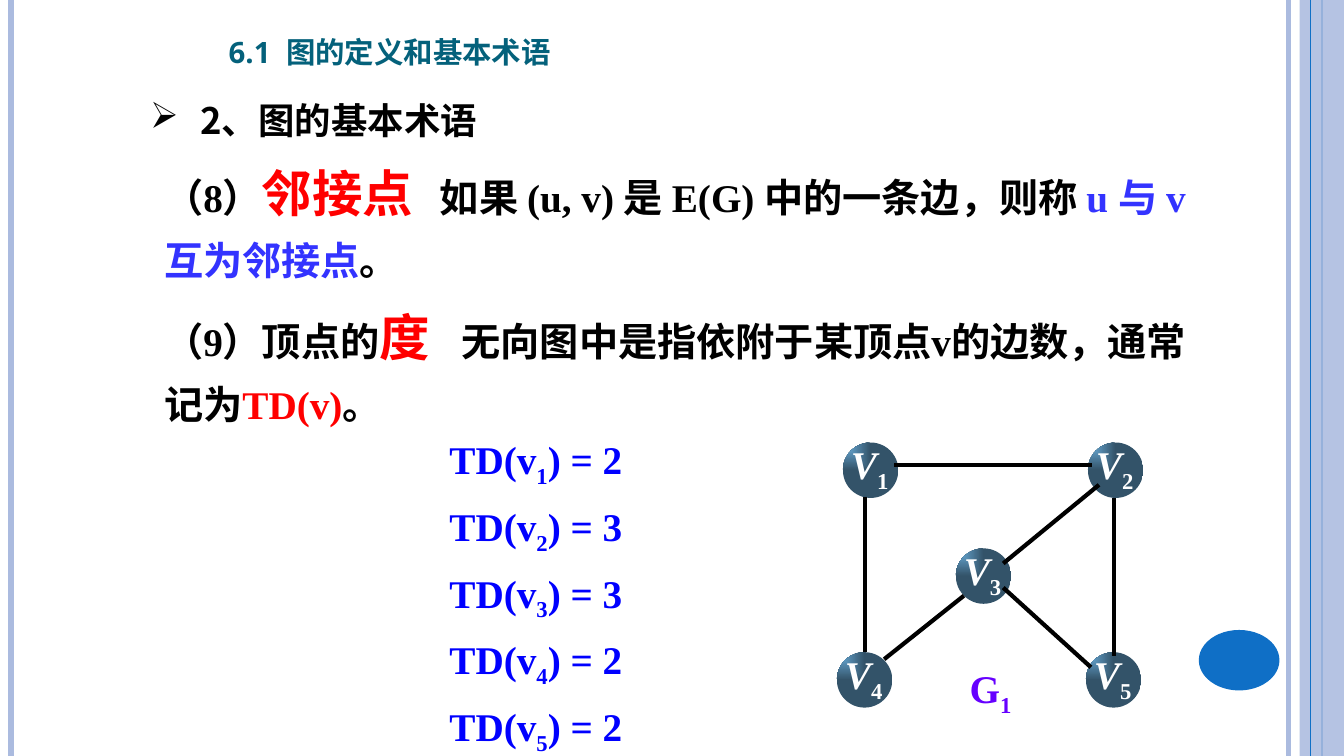
import pptx
import pptx.dml.color
import pptx.enum.shapes
import pptx.enum.text
import pptx.oxml
import pptx.oxml.ns
import pptx.util
import lxml.etree

Inches, Pt = pptx.util.Inches, pptx.util.Pt
SHAPE = pptx.enum.shapes.MSO_SHAPE
ALIGN = pptx.enum.text.PP_ALIGN
ANCHOR = pptx.enum.text.MSO_ANCHOR
qn = pptx.oxml.ns.qn
COLORS = {name: pptx.dml.color.RGBColor.from_string(value) for name, value in {
    "black": "000000", "white": "FFFFFF", "red": "FF0000", "term": "3333FF",
    "degree": "0000FF", "graph": "6600FF", "title": "04617B", "pale": "ABBBDF",
    "accent": "0F6FC6", "node_light": "6FB4E3", "node_dark": "335369"}.items()}
CJK = "Noto Sans CJK SC"


def add_text(paragraphs, at, size=28, font="Times New Roman", color="black", inset=(0.1, 0.05, 0.1, 0.05),
             wrap=True, anchor=ANCHOR.TOP, align=ALIGN.LEFT, spacing=None, before=0):
    """Add a bold text box; each run is (text, dict of format changes)."""
    box = slide.shapes.add_textbox(*map(Inches, at))
    frame = box.text_frame
    frame.word_wrap, frame.vertical_anchor = wrap, anchor
    frame.margin_left, frame.margin_top, frame.margin_right, frame.margin_bottom = map(Inches, inset)
    for index, runs in enumerate(paragraphs):
        para = frame.paragraphs[0] if index == 0 else frame.add_paragraph()
        para.alignment, para.line_spacing, para.space_before = align, spacing, Pt(before)
        for text, changes in runs:
            span = para.add_run()
            span.text = text
            span.font.name, span.font.bold = font, True
            span.font.size = Pt(changes.get("size", size))
            span.font.italic = changes.get("italic", False)
            span.font.color.rgb = COLORS[changes.get("color", color)]
            properties = span.font._element
            lxml.etree.SubElement(properties, qn("a:ea")).set("typeface", CJK)
            if changes.get("sub"):
                properties.set("baseline", "-25000")
    return box


def add_line(start, end, color, width):
    """Add a straight line without a shadow."""
    line = slide.shapes.add_connector(pptx.enum.shapes.MSO_CONNECTOR.STRAIGHT,
                                      *map(Inches, start + end))
    line.line.color.rgb, line.line.width = COLORS[color], Pt(width)
    lxml.etree.SubElement(line._element.spPr, qn("a:effectLst"))
    return line


deck = pptx.Presentation()
deck.slide_width, deck.slide_height = Inches(13.33), Inches(7.5)
slide = deck.slides.add_slide(deck.slide_layouts[6])

# Side stripes and page-number disc
for x, color, width in [(12.78, "pale", 3), (0.11, "pale", 4.5), (13.11, "accent", 1.5)]:
    add_line((x, 0), (x, 7.5), color, width)
for kind, at, color in [(SHAPE.RECTANGLE, (12.89, 0, 0.44, 7.5), "pale"),
                        (SHAPE.OVAL, (11.89, 6.25, 0.8, 0.6), "accent")]:
    decoration = slide.shapes.add_shape(kind, *map(Inches, at))
    decoration.shadow.inherit = False
    decoration.fill.solid()
    decoration.fill.fore_color.rgb = COLORS[color]
    decoration.line.fill.background()
    if kind == SHAPE.RECTANGLE:
        tone = decoration._element.spPr.find(qn("a:solidFill"))[0]
        lxml.etree.SubElement(tone, qn("a:alpha")).set("val", "87000")
add_line((13, 0), (13, 7.5), "accent", 0.75)

# Headings
add_text([[("6.1  图的定义和基本术语", {})]], (2.17, 0.13, 4.46, 0.61),
         size=21, font="Noto Sans", color="title", anchor=ANCHOR.BOTTOM)
heading = add_text([[("2、图的基本术语", {})]], (1.39, 0.84, 5.5, 0.62),
                   size=26, font=CJK, spacing=1.2, before=9)
bullet_format = heading.text_frame.paragraphs[0]._p.get_or_add_pPr()
bullet_format.set("marL", str(Inches(0.5)))
bullet_format.set("indent", str(-Inches(0.5)))
lxml.etree.SubElement(bullet_format, qn("a:buChar")).set("char", "➢")

# Definitions
key_term = {"size": 36, "color": "red"}
add_text([
    [("（8）", {}), ("邻接点", key_term), ("   如果 (u, v) 是 E(G) 中的一条边，则称 ", {}),
     ("u 与 v 互为邻接点", {"color": "term"}), ("。", {})],
    [("（9）顶点的", {}), ("度  ", key_term), (" 无向图中是指依附于某顶点v的边数，通常记为", {}),
     ("TD(v)", {"color": "red"}), ("。", {})],
], (1.53, 1.55, 10.67, 6.06), spacing=Pt(43.6), before=15.7)

# Vertex degrees
subscript = {"sub": True}
degrees = [2, 3, 3, 2, 2]
add_text([[("TD(v", {}), (str(number), subscript), (f") = {degree}", {})]
          for number, degree in enumerate(degrees, 1)],
         (4.36, 4.14, 2.5, 3.4), color="degree", spacing=Pt(47.66))

# Graph G1
nodes = [(8.36, 4.39), (10.79, 4.39), (9.48, 5.44), (8.3, 6.47), (10.77, 6.47)]
edges = [((9.95, 5.59), (10.9, 4.81)), ((8.87, 4.61), (10.83, 4.61)),
         ((11.05, 4.94), (11.05, 6.51)), ((8.58, 4.93), (8.58, 6.47)),
         ((8.77, 6.54), (9.56, 5.91)), ((9.95, 5.83), (10.82, 6.62))]
for number, (left, top) in enumerate(nodes, 1):
    node = slide.shapes.add_shape(SHAPE.OVAL, *map(Inches, (left, top, 0.55, 0.55)))
    node.shadow.inherit = False
    node.line.fill.background()
    node.fill.gradient()
    for stop, color in zip(node.fill.gradient_stops, ("node_light", "node_dark")):
        stop.color.rgb = COLORS[color]
    gradient = node._element.spPr.find(qn("a:gradFill"))
    gradient.remove(gradient.find(qn("a:lin")))
    shade = lxml.etree.SubElement(gradient, qn("a:path"))
    shade.set("path", "rect")
    focus = lxml.etree.SubElement(shade, qn("a:fillToRect"))
    focus.set("r", "100000")
    focus.set("b", "100000")
    add_text([[("V", {"italic": True}), (str(number), subscript)]],
             (left + 0.07, top - 0.05, 0.51, 0.65), color="white", inset=(0.01, 0.03, 0, 0.01))
for start, end in edges:
    add_line(start, end, "black", 3)
add_text([[("G", {}), ("1", subscript)]], (9.51, 6.54, 0.63, 0.57),
         color="graph", wrap=False, align=ALIGN.CENTER)

deck.save("out.pptx")
